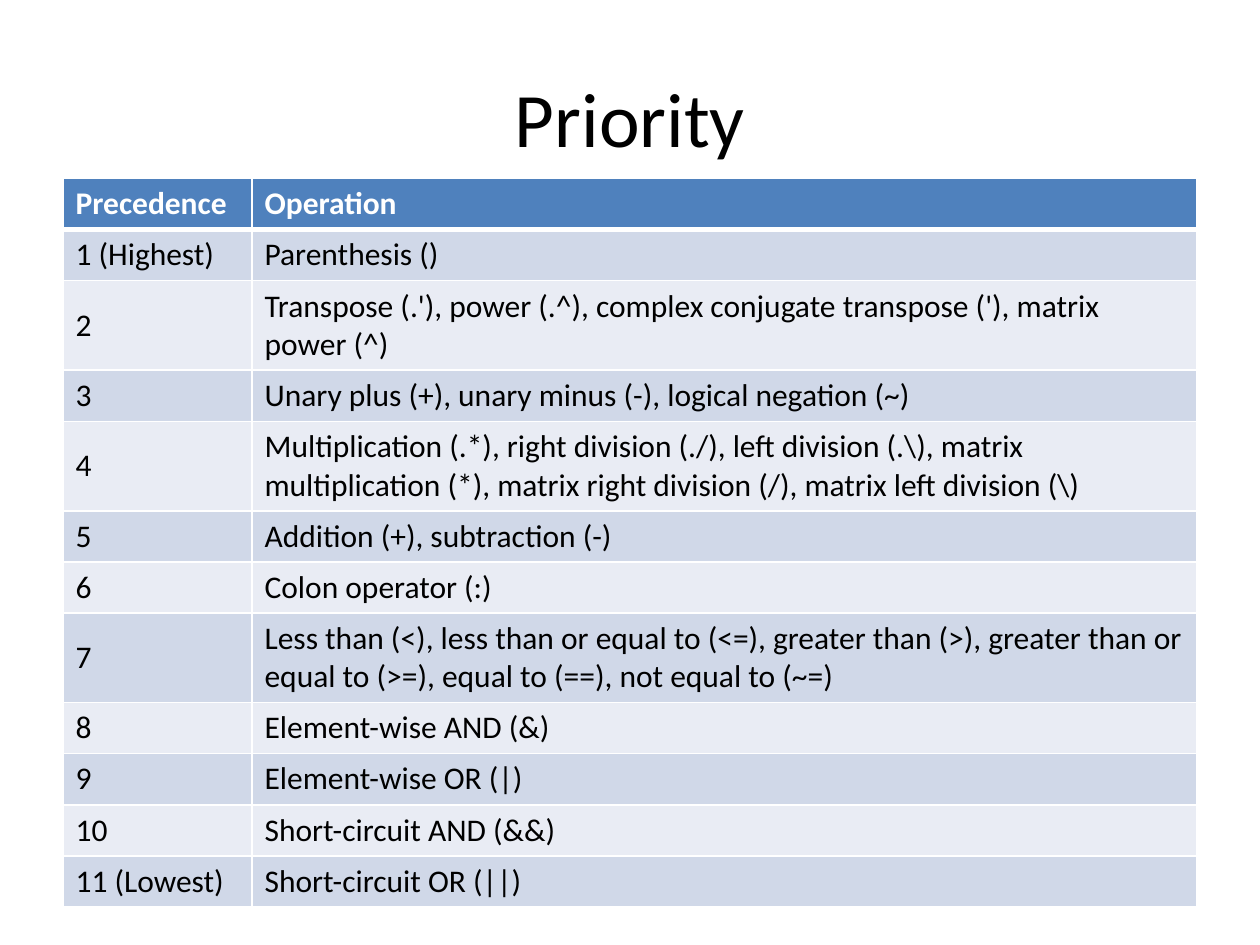
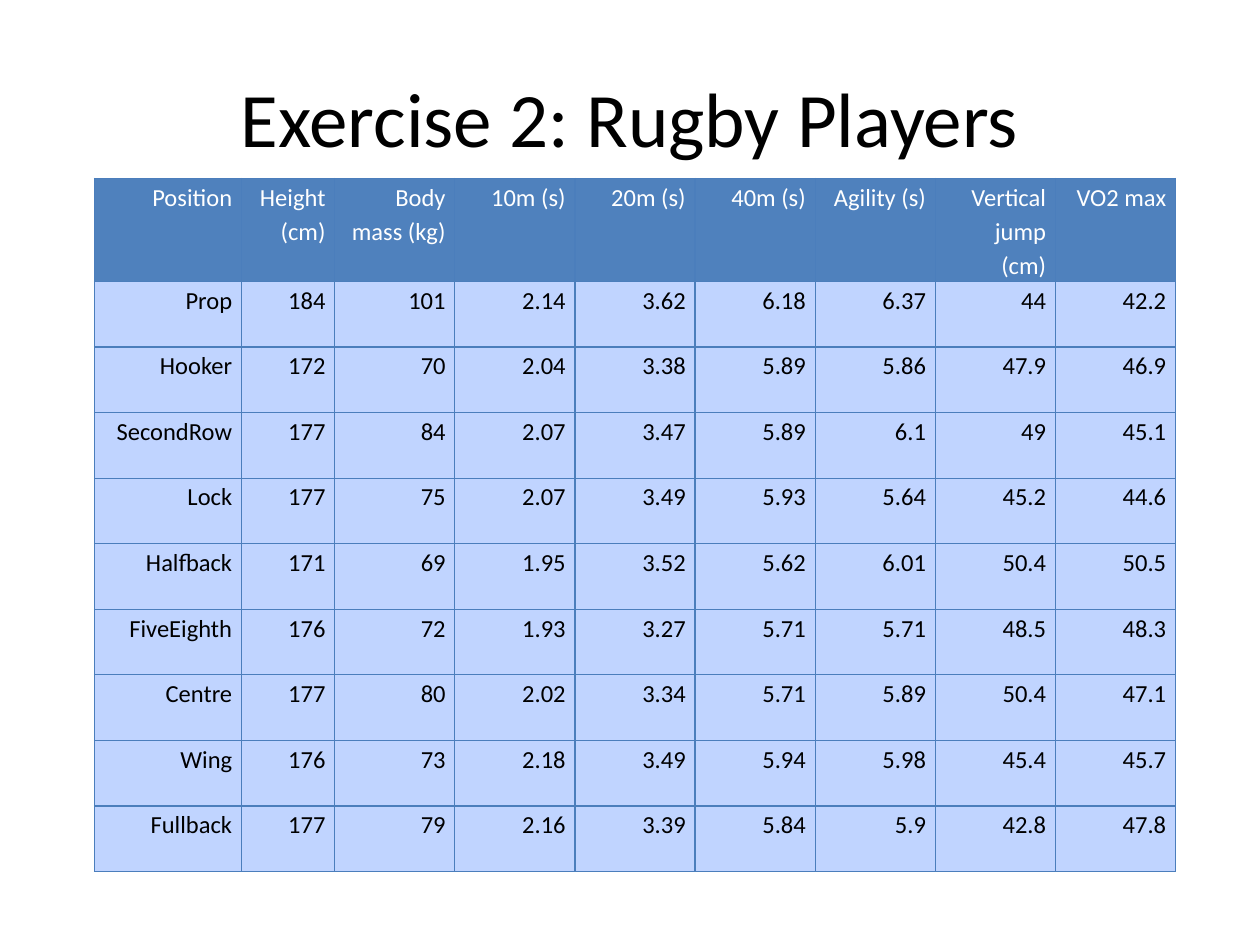
from dataclasses import dataclass
from lxml.etree import SubElement
from pptx import Presentation
from pptx.dml.color import RGBColor
from pptx.enum.text import MSO_ANCHOR, PP_ALIGN
from pptx.oxml.ns import qn
from pptx.util import Pt


@dataclass(frozen=True)
class Theme:
    font: str = "Calibri"
    ink: str = "000000"
    white: str = "FFFFFF"
    head: str = "4F81BD"
    dark: str = "D0D8E8"
    light: str = "E9ECF4"
    blue: str = "C0D4FF"
    rule: str = "4B7EBC"
    title: int = 44
    body: int = 18
    small: int = 14


theme = Theme()
deck = Presentation()
deck.slide_width, deck.slide_height = Pt(720), Pt(540)


def add_page(title, left, widths, height, rows):
    """Add a titled slide and return its filled table."""
    slide = deck.slides.add_slide(deck.slide_layouts[5])
    head = slide.shapes.title
    head.left, head.top, head.width, head.height = Pt(36), Pt(21.6), Pt(648), Pt(90)
    frame = head.text_frame
    frame.text = title
    frame.vertical_anchor = MSO_ANCHOR.MIDDLE
    line = frame.paragraphs[0]
    line.alignment = PP_ALIGN.CENTER
    font = line.runs[0].font
    font.name, font.size = theme.font, Pt(theme.title)
    font.color.rgb = RGBColor.from_string(theme.ink)

    table = slide.shapes.add_table(
        len(rows), len(widths), Pt(left), Pt(102),
        Pt(sum(widths)), Pt(height * len(rows))).table
    for col, width in zip(table.columns, widths):
        col.width = Pt(width)
    for row, texts in zip(table.rows, rows):
        row.height = Pt(height)
        for cell, text in zip(row.cells, texts):
            cell.text_frame.text = text
    return table


def style_cell(cell, size, ink, bold, fill, edge, widths):
    """Set font, borders (left, right, top, bottom) and fill."""
    font = cell.text_frame.paragraphs[0].runs[0].font
    font.name, font.size, font.bold = theme.font, Pt(size), bold
    font.color.rgb = RGBColor.from_string(ink)
    props = cell._tc.get_or_add_tcPr()
    for side, width in zip("LRTB", widths):
        line = SubElement(props, qn(f"a:ln{side}"), w=str(Pt(width)))
        paint = SubElement(line, qn("a:solidFill"))
        SubElement(paint, qn("a:srgbClr"), val=edge)
    cell.fill.solid()
    cell.fill.fore_color.rgb = RGBColor.from_string(fill)


# Slide 1: operator priority; "_" marks a space that must not break
ranks = ["1 (Highest)", *map(str, range(2, 11)), "11 (Lowest)"]
acts = [
    "Parenthesis ()",
    "Transpose_(.'), power_(.^), complex conjugate transpose_('), matrix power_(^)",
    "Unary plus_(+), unary minus_(-), logical negation_(~)",
    "Multiplication_(.*), right division_(./), left division_(.\\), "
    "matrix multiplication_(*), matrix right division_(/), matrix left division_(\\)",
    "Addition_(+), subtraction_(-)",
    "Colon operator_(:)",
    "Less than_(<), less than or equal to_(<=), greater than_(>), "
    "greater than or equal to_(>=), equal to_(==), not equal to_(~=)",
    "Element-wise AND_(&)",
    "Element-wise OR_(|)",
    "Short-circuit AND_(&&)",
    "Short-circuit OR_(||)",
]
rows = [("Precedence", "Operation")]
rows += [(rank, act.replace("_", "\u00a0")) for rank, act in zip(ranks, acts)]
table = add_page("Priority", 36, [108, 540], 29.2, rows)
for i, row in enumerate(table.rows):
    top = i == 0
    fill = theme.head if top else theme.dark if i % 2 else theme.light
    edges = (1, 1, 3 if i == 1 else 1, 3 if top else 1)
    for cell in row.cells:
        style_cell(cell, theme.body, theme.white if top else theme.ink,
                   top, fill, theme.white, edges)
        if 1 <= i <= 8:
            cell.vertical_anchor = MSO_ANCHOR.MIDDLE

# Slide 2: rugby players
rows = [
    ("Position", "Height (cm)", "Body mass (kg)", "10m (s)", "20m (s)",
     "40m (s)", "Agility (s)", "Vertical jump (cm)", "VO2 max"),
    ("Prop", "184", "101", "2.14", "3.62", "6.18", "6.37", "44", "42.2"),
    ("Hooker", "172", "70", "2.04", "3.38", "5.89", "5.86", "47.9", "46.9"),
    ("SecondRow", "177", "84", "2.07", "3.47", "5.89", "6.1", "49", "45.1"),
    ("Lock", "177", "75", "2.07", "3.49", "5.93", "5.64", "45.2", "44.6"),
    ("Halfback", "171", "69", "1.95", "3.52", "5.62", "6.01", "50.4", "50.5"),
    ("FiveEighth", "176", "72", "1.93", "3.27", "5.71", "5.71", "48.5", "48.3"),
    ("Centre", "177", "80", "2.02", "3.34", "5.71", "5.89", "50.4", "47.1"),
    ("Wing", "176", "73", "2.18", "3.49", "5.94", "5.98", "45.4", "45.7"),
    ("Fullback", "177", "79", "2.16", "3.39", "5.84", "5.9", "42.8", "47.8"),
]
table = add_page("Exercise 2: Rugby Players", 54,
                 [84, 53.3] + [68.65] * 7, 37.5, rows)
for i, row in enumerate(table.rows):
    top = i == 0
    for cell in row.cells:
        style_cell(cell, theme.small, theme.white if top else theme.ink, False,
                   theme.head if top else theme.blue, theme.rule, [0.75] * 4)
        cell.margin_left, cell.margin_right = Pt(6.5), Pt(5.3)
        cell.margin_top = cell.margin_bottom = Pt(0)
        line = cell.text_frame.paragraphs[0]
        line.alignment, line.line_spacing = PP_ALIGN.RIGHT, 1.15

deck.save("out.pptx")
